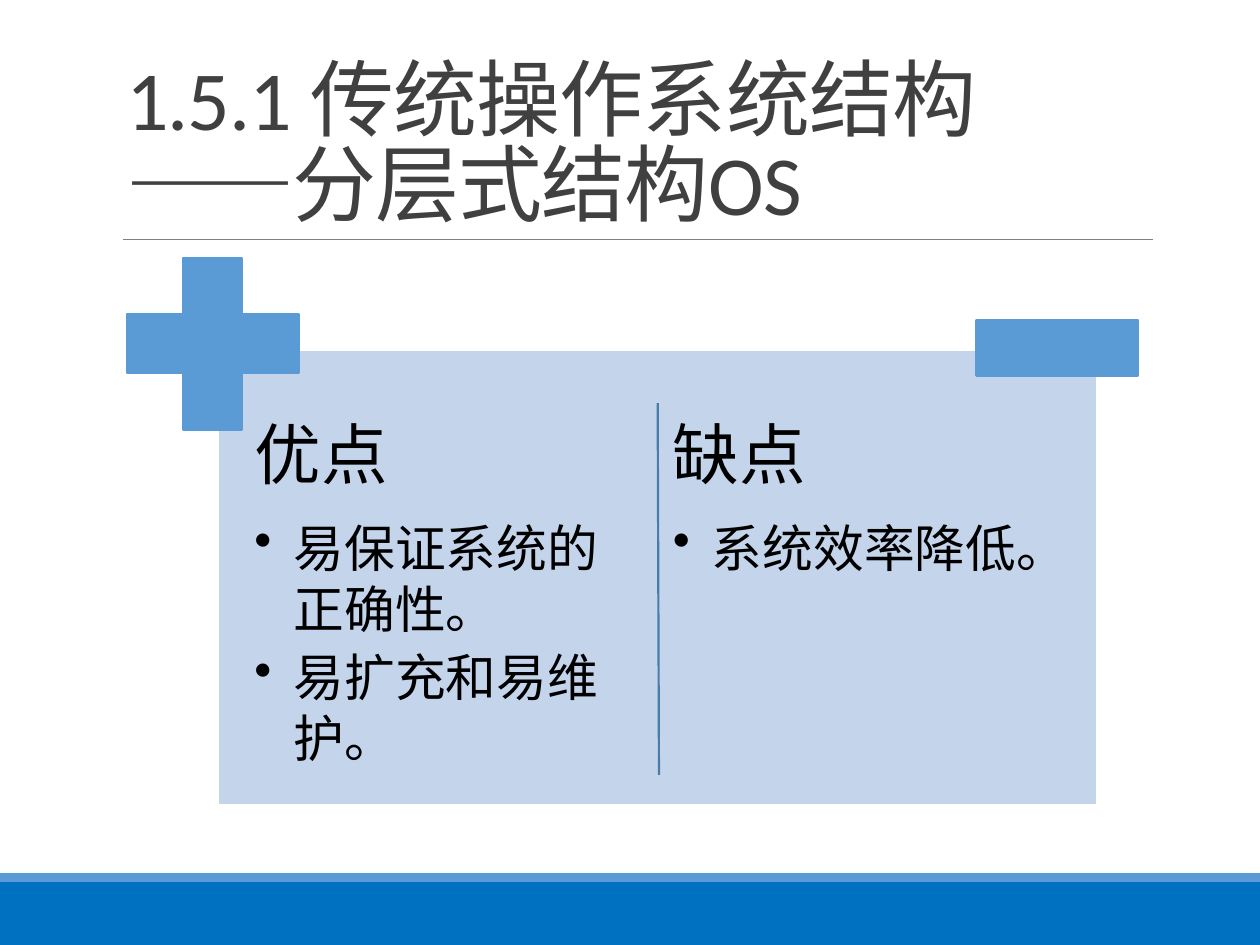
from lxml import etree
from pptx import Presentation
from pptx.dml.color import RGBColor
from pptx.enum.shapes import MSO_CONNECTOR, MSO_SHAPE
from pptx.enum.text import MSO_ANCHOR, MSO_AUTO_SIZE, PP_ALIGN
from pptx.oxml.ns import qn
from pptx.util import Inches, Pt

RECTANGLE, PLUS = MSO_SHAPE.RECTANGLE, MSO_SHAPE.CROSS
STRAIGHT = MSO_CONNECTOR.STRAIGHT
BOTTOM, TOP = MSO_ANCHOR.BOTTOM, MSO_ANCHOR.TOP
NO_AUTOFIT = MSO_AUTO_SIZE.NONE
LEFT = PP_ALIGN.LEFT

WHITE = RGBColor(0xFF, 0xFF, 0xFF)
BLACK = RGBColor(0x00, 0x00, 0x00)
DARK_GREY = RGBColor(0x40, 0x40, 0x40)
GREY = RGBColor(0x80, 0x80, 0x80)
DEEP_BLUE = RGBColor(0x00, 0x70, 0xC0)
BLUE = RGBColor(0x5B, 0x9B, 0xD5)
PALE_BLUE = RGBColor(0xC4, 0xD5, 0xEB)
DIVIDER_BLUE = RGBColor(0x49, 0x7C, 0xAB)
FONT = "Calibri"


def add_run(paragraph, text, size, color):
    run = paragraph.add_run()
    run.text = text
    run.font.name = FONT
    run.font.size = Pt(size)
    run.font.color.rgb = color
    return run


presentation = Presentation()
presentation.slide_width = Inches(10)
presentation.slide_height = Inches(7.5)
slide = presentation.slides.add_slide(presentation.slide_layouts[5])

# Title
title = slide.shapes.title
title.left, title.top = Inches(0.9), Inches(0.31)
title.width, title.height = Inches(8.25), Inches(1.59)
title.text_frame.auto_size = NO_AUTOFIT
title.text_frame.vertical_anchor = BOTTOM
paragraph = title.text_frame.paragraphs[0]
paragraph.alignment = LEFT
paragraph.line_spacing = 0.85
for index, line in enumerate(["1.5.1 传统操作系统结构", "——分层式结构OS"]):
    if index:
        paragraph.add_line_break()
    run = add_run(paragraph, line, 48, DARK_GREY)
    run.font._element.set("spc", "-50")

# Footer bands, comparison panel and the plus and minus signs
blocks = [
    (RECTANGLE, 0, 7, 10, 0.5, DEEP_BLUE, None),
    (RECTANGLE, 0, 6.93, 10, 0.07, BLUE, None),
    (RECTANGLE, 1.73, 2.78, 6.98, 3.61, PALE_BLUE, WHITE),
    (PLUS, 1.01, 2.05, 1.36, 1.36, BLUE, BLUE),
    (RECTANGLE, 7.75, 2.54, 1.28, 0.44, BLUE, BLUE),
]
for kind, left, top, width, height, fill, outline in blocks:
    shape = slide.shapes.add_shape(
        kind, Inches(left), Inches(top), Inches(width), Inches(height))
    shape.shadow.inherit = False
    shape.fill.solid()
    shape.fill.fore_color.rgb = fill
    if outline is None:
        shape.line.fill.background()
    else:
        shape.line.color.rgb = outline
        shape.line.width = Pt(1.25)
    if kind == PLUS:
        shape.adjustments[0] = 0.328

# Rule under the title and divider between the columns
rules = [
    (0.98, 1.9, 9.15, 1.9, GREY, 0.5),
    (5.22, 3.2, 5.23, 6.15, DIVIDER_BLUE, 1.25),
]
for start_x, start_y, end_x, end_y, color, weight in rules:
    rule = slide.shapes.add_connector(
        STRAIGHT, Inches(start_x), Inches(start_y), Inches(end_x), Inches(end_y))
    rule.line.color.rgb = color
    rule.line.width = Pt(weight)
    etree.SubElement(rule._element.spPr, qn("a:effectLst"))

# Columns of pros and cons
columns = [
    (1.94, "优点", ["易保证系统的正确性。", "易扩充和易维护。"]),
    (5.26, "缺点", ["系统效率降低。"]),
]
for left, heading, points in columns:
    box = slide.shapes.add_textbox(
        Inches(left), Inches(3.2), Inches(3.24), Inches(3.09))
    frame = box.text_frame
    frame.word_wrap = True
    frame.vertical_anchor = TOP
    frame.margin_left = frame.margin_right = Inches(0.08)
    frame.margin_top = frame.margin_bottom = Inches(0.08)
    paragraph = frame.paragraphs[0]
    paragraph.space_after = Pt(13.3)
    add_run(paragraph, heading, 38, BLACK)
    for point in points:
        paragraph = frame.add_paragraph()
        paragraph.level = 1
        paragraph.space_after = Pt(4.35)
        add_run(paragraph, point, 29, BLACK)
        properties = paragraph._p.get_or_add_pPr()
        properties.set("marL", str(Inches(0.31)))
        properties.set("indent", str(-Inches(0.31)))
        etree.SubElement(properties, qn("a:buChar"), char="•")

presentation.save("out.pptx")
